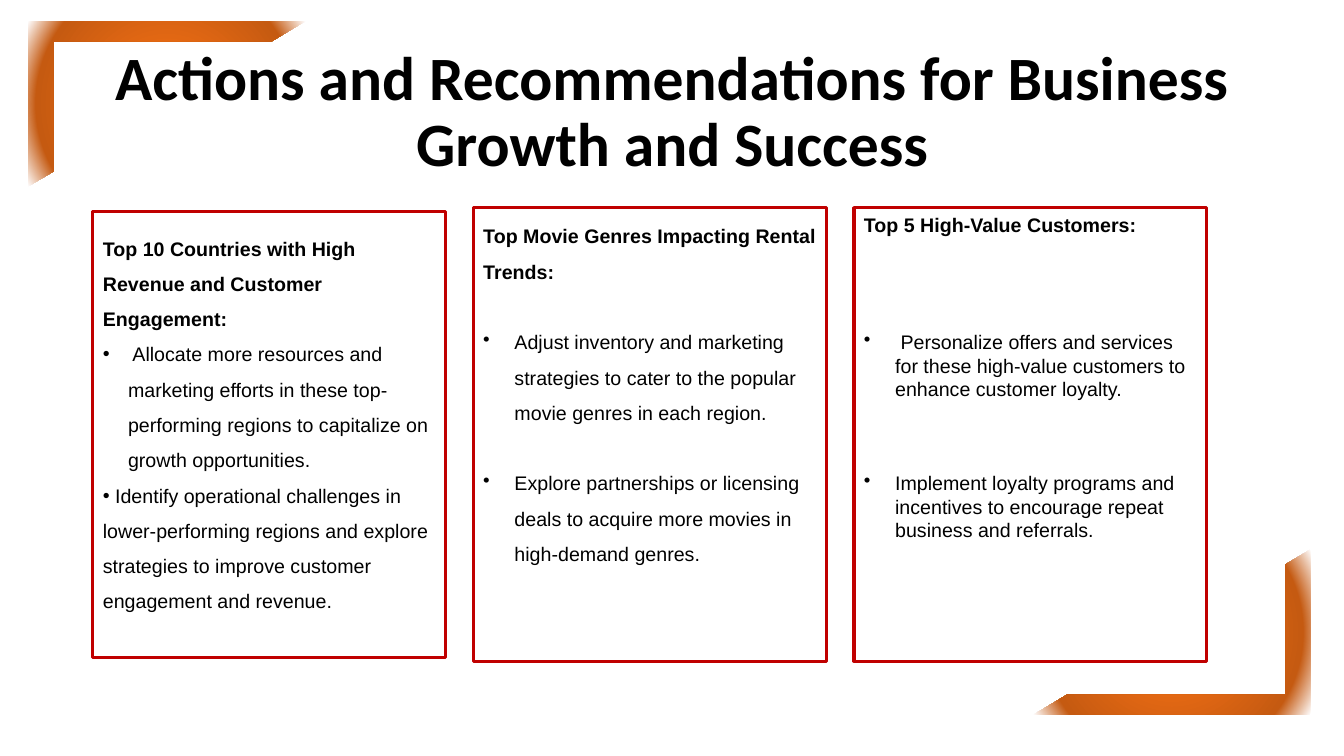
from lxml import etree
from pptx import Presentation
from pptx import util as u
from pptx.dml.color import RGBColor
from pptx.enum import shapes, text
from pptx.oxml import parse_xml
from pptx.oxml.ns import nsdecls, qn

BLACK = RGBColor(0x00, 0x00, 0x00)
CRIMSON = RGBColor(0xC0, 0x00, 0x00)
ORANGE = RGBColor(0xEA, 0x6B, 0x14)
RUST = RGBColor(0xC5, 0x5A, 0x11)
WHITE = RGBColor(0xFF, 0xFF, 0xFF)
GLOW = ((0, ORANGE), (29, ORANGE), (81, RUST), (100, WHITE))

SLIDE_WIDTH, SLIDE_HEIGHT = 13.33, 7.5
FIRST_COLUMN, COLUMN_STEP, CARD_WIDTH = 0.92, 3.775, 3.5
CARD_TOP, CARD_HEIGHT = 2.06, 4.5
CORNER_WIDTH, CORNER_HEIGHT = 2.75, 1.64

CARDS = (
    dict(heading="Top 10 Countries with High Revenue and Customer Engagement:",
         spacing=1.5, trim=0.04, top_inset=0.13,
         actions=((" Allocate more resources and marketing efforts in these "
                   "top-performing regions to capitalize on growth opportunities.", 0.25, 0),
                  (" Identify operational challenges in lower-performing regions and explore "
                   "strategies to improve customer engagement and revenue.", 0, 0))),
    dict(heading="Top Movie Genres Impacting Rental Trends:",
         spacing=1.5, trim=0, top_inset=0.05,
         actions=(("Adjust inventory and marketing strategies to cater to the popular "
                   "movie genres in each region.", 0.31, 25.2),
                  ("Explore partnerships or licensing deals to acquire more movies in "
                   "high-demand genres.", 0.31, 25.2))),
    dict(heading="Top 5 High-Value Customers:",
         spacing=1.0, trim=0, top_inset=0.05,
         actions=((" Personalize offers and services for these high-value customers to "
                   "enhance customer loyalty.", 0.31, 67),
                  ("Implement loyalty programs and incentives to encourage repeat "
                   "business and referrals.", 0.31, 50.4))),
)


def apply(target, **values):
    """Set each named attribute on the target."""
    for name, value in values.items():
        setattr(target, name, value)


def place(part, left, top, width, height):
    """Move and size a part, in inches."""
    apply(part, left=u.Inches(left), top=u.Inches(top),
          width=u.Inches(width), height=u.Inches(height))


def write(paragraph, wording, font, size, bold, **layout):
    """Write one formatted run and set the paragraph layout."""
    apply(paragraph, **layout)
    run = paragraph.add_run()
    run.text = wording
    apply(run.font, name=font, size=u.Pt(size), bold=bold)
    run.font.color.rgb = BLACK


def set_bullet(paragraph, indent=0, mark=None):
    """Give the paragraph a hanging bullet, or none when there is no mark."""
    properties = paragraph._p.get_or_add_pPr()
    properties.set("marL", str(u.Inches(indent)))
    properties.set("indent", str(-u.Inches(indent)))
    bullet = etree.SubElement(properties, qn("a:buChar" if mark else "a:buNone"))
    if mark:
        bullet.set("char", mark)


def fill_card(card, column, heading, spacing, trim, top_inset, actions):
    """Frame a card in its column and write its heading and actions."""
    place(card, FIRST_COLUMN + column * COLUMN_STEP, CARD_TOP + trim,
          CARD_WIDTH, CARD_HEIGHT - 2 * trim)
    card.line.color.rgb = CRIMSON
    card.line.width = u.Pt(2.25)
    frame = card.text_frame
    apply(frame, word_wrap=True, auto_size=text.MSO_AUTO_SIZE.NONE,
          vertical_anchor=text.MSO_ANCHOR.TOP, margin_top=u.Inches(top_inset))
    layout = dict(line_spacing=spacing, alignment=text.PP_ALIGN.LEFT)
    title = frame.paragraphs[0]
    write(title, heading, "Arial", 14, True, space_before=u.Pt(0), **layout)
    set_bullet(title)
    for wording, indent, gap in actions:
        action = frame.add_paragraph()
        write(action, wording, "Arial", 14, False, space_before=u.Pt(gap), **layout)
        set_bullet(action, indent, "\u2022")


def add_corner(slide, left, top, rotation):
    """Add a glowing half frame at a corner of the slide."""
    corner = slide.shapes.add_shape(shapes.MSO_SHAPE.HALF_FRAME, 0, 0, 0, 0)
    place(corner, left, top, CORNER_WIDTH, CORNER_HEIGHT)
    corner.rotation = rotation
    corner.adjustments[0], corner.adjustments[1] = 0.122, 0.153
    corner.shadow.inherit = False
    corner.line.fill.background()
    stops = "".join(f'<a:gs pos="{share * 1000}"><a:srgbClr val="{colour}"/></a:gs>'
                    for share, colour in GLOW)
    glow = parse_xml(
        f'<a:gradFill {nsdecls("a")} rotWithShape="1"><a:gsLst>{stops}</a:gsLst>'
        '<a:path path="circle"><a:fillToRect l="50000" t="50000" r="50000" b="50000"/>'
        '</a:path></a:gradFill>')
    corner._element.spPr.find(qn("a:prstGeom")).addnext(glow)


def main():
    """Build the recommendations slide."""
    deck = Presentation()
    apply(deck, slide_width=u.Inches(SLIDE_WIDTH), slide_height=u.Inches(SLIDE_HEIGHT))
    slide = deck.slides.add_slide(deck.slide_layouts[1])

    headline = slide.shapes.title
    place(headline, FIRST_COLUMN, 0.4, 11.5, 1.45)
    apply(headline.text_frame, word_wrap=True, vertical_anchor=text.MSO_ANCHOR.MIDDLE)
    write(headline.text_frame.paragraphs[0],
          "Actions and Recommendations for Business Growth and Success",
          "Calibri", 44, True, alignment=text.PP_ALIGN.CENTER, line_spacing=0.9)

    for column, content in enumerate(CARDS):
        card = slide.shapes.add_textbox(0, 0, 0, 0) if column else slide.placeholders[1]
        fill_card(card, column, **content)

    add_corner(slide, 0.28, 0.21, 0)
    add_corner(slide, SLIDE_WIDTH - CORNER_WIDTH - 0.33,
               SLIDE_HEIGHT - CORNER_HEIGHT - 0.41, 180)
    deck.save("out.pptx")


main()
